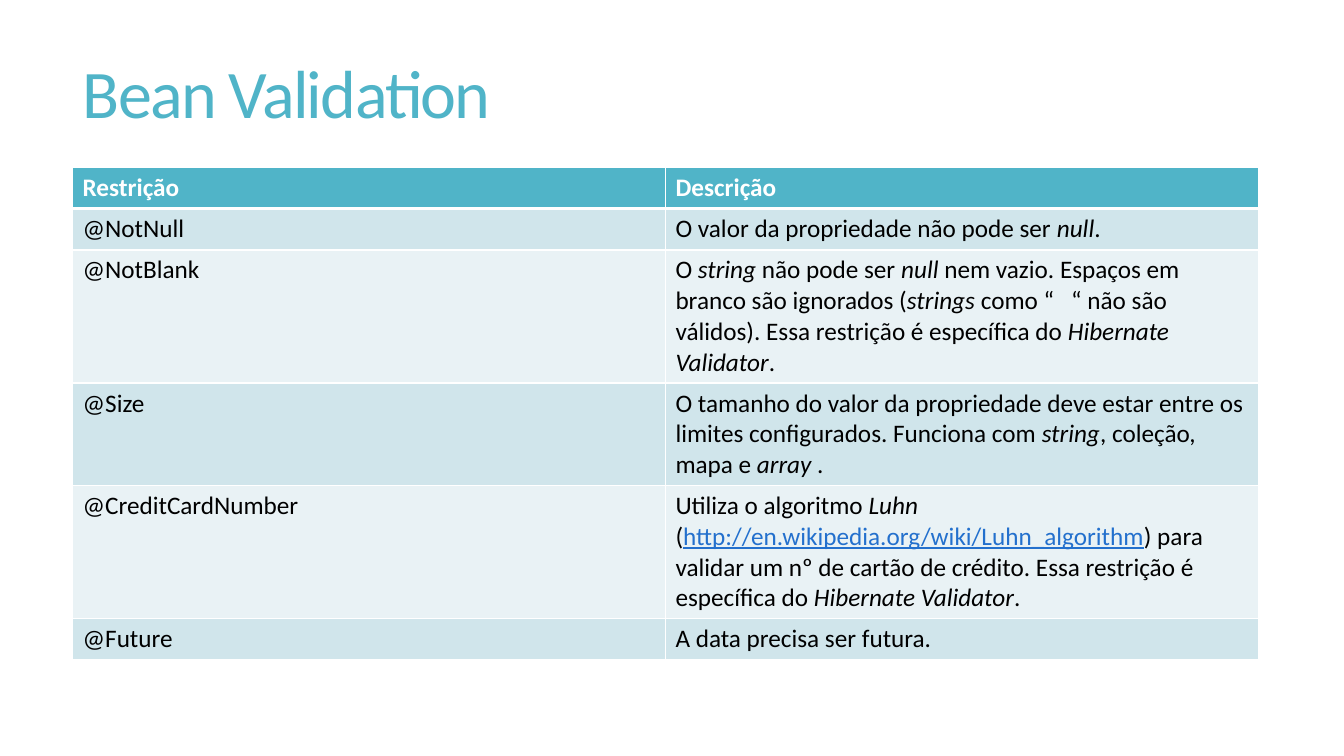
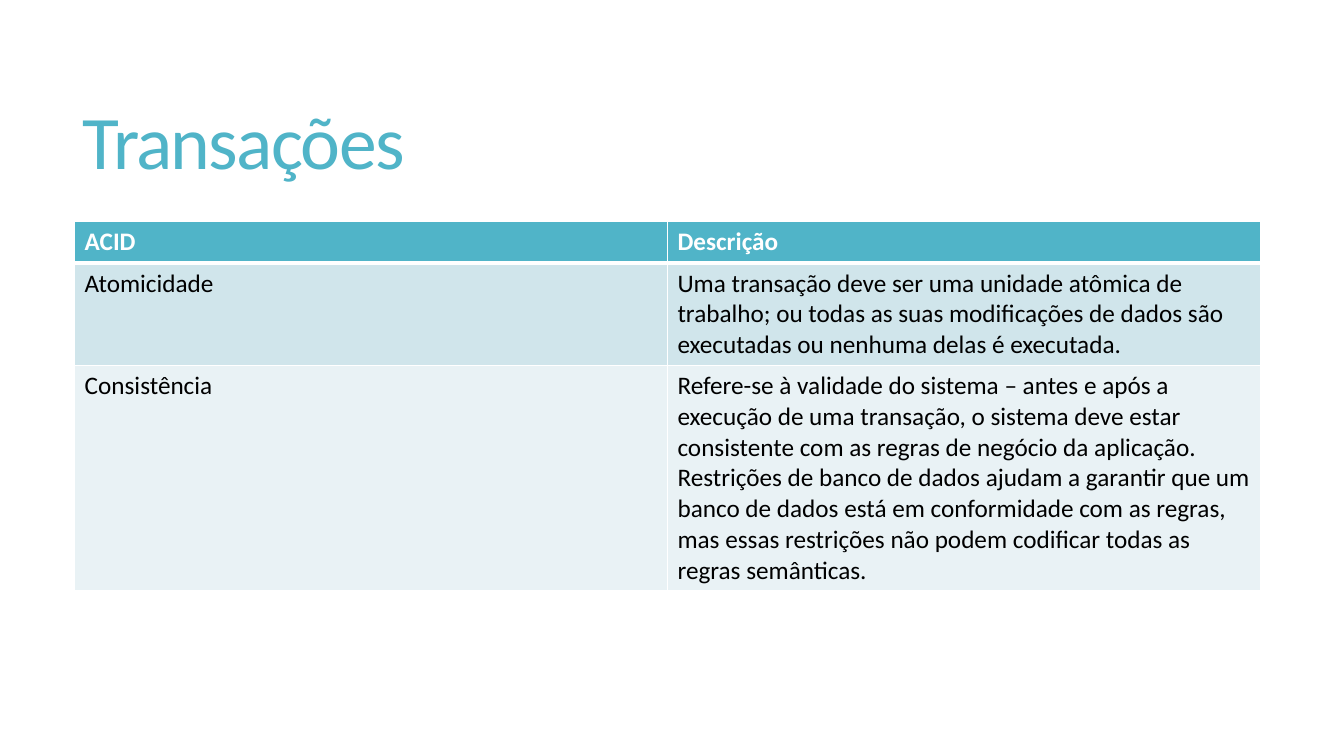
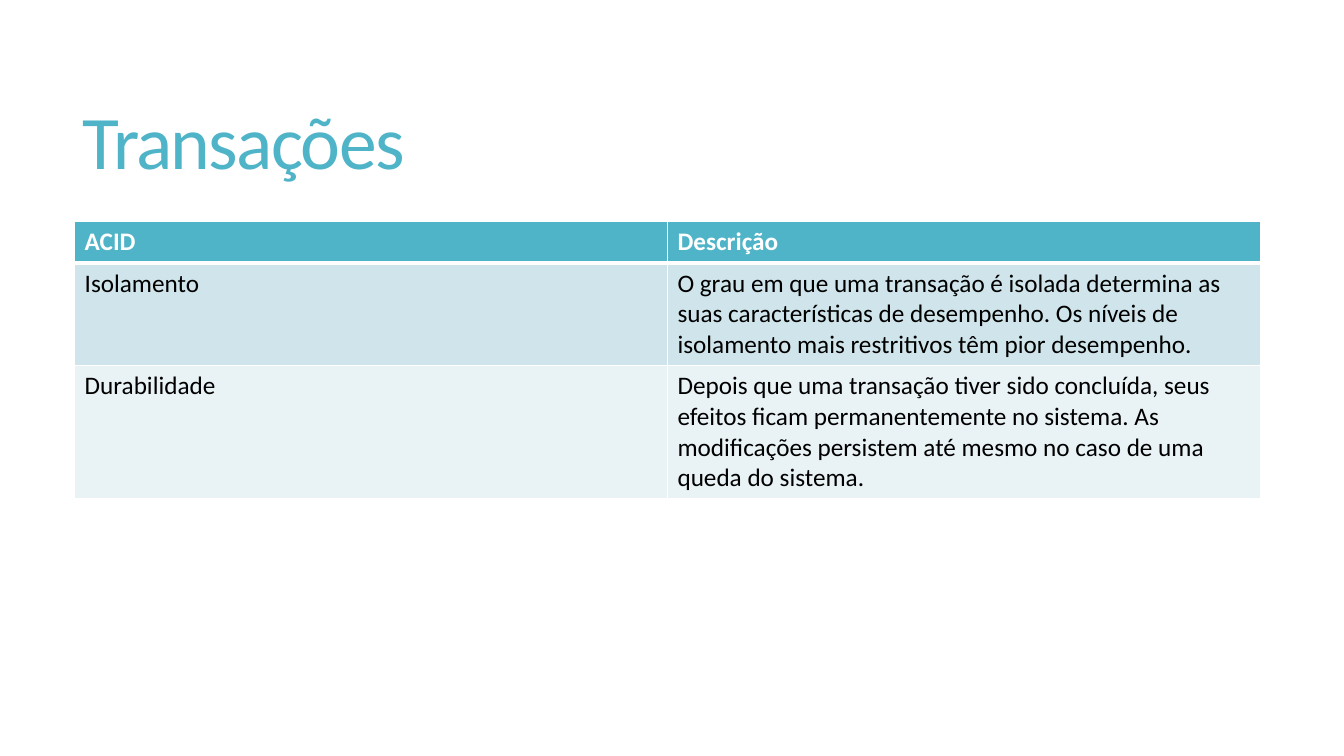
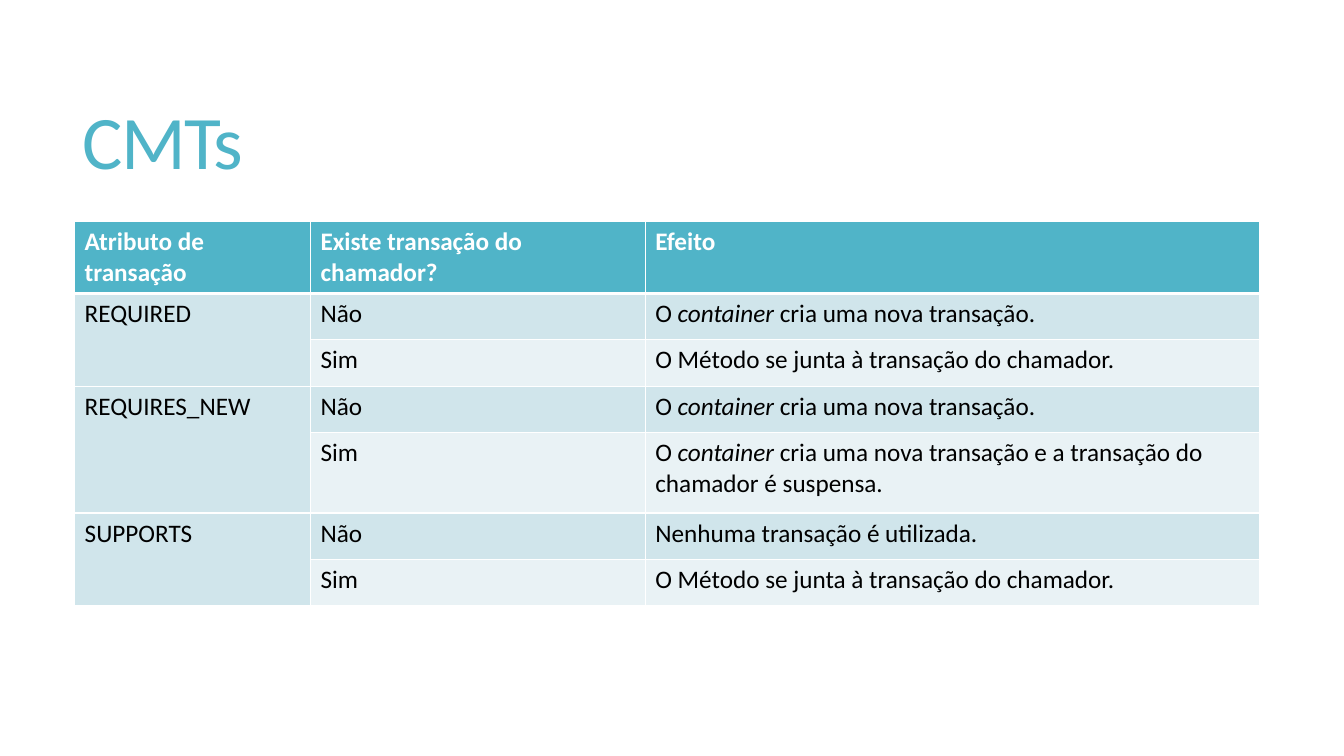
from lxml.etree import SubElement
from pptx import Presentation
from pptx.dml.color import RGBColor as RGB
from pptx.enum.text import MSO_ANCHOR, MSO_AUTO_SIZE, PP_ALIGN
from pptx.oxml.ns import qn
from pptx.util import Inches, Pt

FONT = "Calibri"
COLORS = {"teal": "50B4C8", "dark_band": "D0E5EB", "light_band": "E9F2F5",
          "white": "FFFFFF", "black": "000000", "link": "2370CD"}
TITLE_LEFT, TITLE_TOP, TITLE_WIDTH = 0.72, 0.55, 11.78
HALVES = (5.88, 5.88)

# Text between asterisks is italic, or a link where it is a web address.
# A None cell is merged with the cell above.
SLIDES = [
    {"title": "Bean Validation", "title_size": 48.6, "title_height": 0.83,
     "at": (0.72, 1.66), "cols": HALVES, "heights": [0.41] * 6,
     "rows": [
         ("Restrição", "Descrição"),
         ("@NotNull", "O valor da propriedade não pode ser *null*."),
         ("@NotBlank",
          "O *string* não pode ser *null* nem vazio. Espaços em branco são "
          "ignorados (*strings *como “   “ não são válidos). Essa restrição é "
          "específica do *Hibernate Validator*."),
         ("@Size",
          "O tamanho do valor da propriedade deve estar entre os limites "
          "configurados. Funciona com *string*, coleção, mapa e *array* ."),
         ("@CreditCardNumber",
          "Utiliza o algoritmo *Luhn* "
          "(*http://en.wikipedia.org/wiki/Luhn_algorithm*) para validar um nº "
          "de cartão de crédito. Essa restrição é específica do "
          "*Hibernate Validator*."),
         ("@Future", "A data precisa ser futura."),
     ]},
    {"title": "Transações", "title_size": 54, "title_height": 1.81,
     "at": (0.74, 2.2), "cols": HALVES, "heights": [0.41] * 3,
     "rows": [
         ("ACID", "Descrição"),
         ("Atomicidade",
          "Uma transação deve ser uma unidade atômica de trabalho; ou todas as "
          "suas modificações de dados são executadas ou nenhuma delas é "
          "executada."),
         ("Consistência",
          "Refere-se à validade do sistema – antes e após a execução de uma "
          "transação, o sistema deve estar consistente com as regras de "
          "negócio da aplicação. Restrições de banco de dados ajudam a "
          "garantir que um\n"
          "banco de dados está em conformidade com as regras, mas essas "
          "restrições não podem codificar todas as regras semânticas."),
     ]},
    {"title": "Transações", "title_size": 54, "title_height": 1.81,
     "at": (0.74, 2.2), "cols": HALVES, "heights": [0.41] * 3,
     "rows": [
         ("ACID", "Descrição"),
         ("Isolamento",
          "O grau em que uma transação é isolada determina as suas "
          "características de desempenho. Os níveis de isolamento mais "
          "restritivos têm pior desempenho."),
         ("Durabilidade",
          "Depois que uma transação tiver sido concluída, seus efeitos ficam "
          "permanentemente no sistema. As modificações persistem até mesmo no "
          "caso de uma queda do sistema."),
     ]},
    {"title": "CMTs", "title_size": 54, "title_height": 1.81,
     "at": (0.74, 2.2), "cols": (2.34, 3.32, 6.09),
     "heights": [0.46] * 4 + [0.8] + [0.46] * 2,
     "rows": [
         ("Atributo de transação", "Existe transação do chamador?", "Efeito"),
         ("REQUIRED", "Não", "O *container* cria uma nova transação."),
         (None, "Sim", "O Método se junta à transação do chamador."),
         ("REQUIRES_NEW", "Não", "O *container* cria uma nova transação."),
         (None, "Sim", "O *container* cria uma nova transação e a transação do "
                       "chamador é suspensa."),
         ("SUPPORTS", "Não", "Nenhuma transação é utilizada."),
         (None, "Sim", "O Método se junta à transação do chamador."),
     ]},
]


def color(name):
    return RGB.from_string(COLORS[name])


def set_font(font, color_name, **values):
    font.name = FONT
    font.color.rgb = color(color_name)
    for key, value in values.items():
        setattr(font, key, value)


def add_title(s, text, size, height):
    sp = s.shapes.title
    place = {"left": TITLE_LEFT, "top": TITLE_TOP,
             "width": TITLE_WIDTH, "height": height}
    for key, value in place.items():
        setattr(sp, key, Inches(value))
    tf = sp.text_frame
    tf.auto_size = MSO_AUTO_SIZE.NONE
    tf.vertical_anchor = MSO_ANCHOR.MIDDLE
    p = tf.paragraphs[0]
    p.alignment = PP_ALIGN.LEFT
    p.line_spacing = 0.85
    r = p.add_run()
    r.text = text
    set_font(r.font, "teal", size=Pt(size))
    r.font._element.set("spc", "-120")


def set_borders(cell, top, bottom):
    tc_pr = cell._tc.get_or_add_tcPr()
    for side, width in (("L", 1), ("R", 1), ("T", top), ("B", bottom)):
        ln = SubElement(tc_pr, qn(f"a:ln{side}"), w=str(Pt(width)))
        fill = SubElement(ln, qn("a:solidFill"))
        SubElement(fill, qn("a:srgbClr"), val=COLORS["white"])


def write_cell(cell, text, header):
    tf = cell.text_frame
    for i, line in enumerate(text.split("\n")):
        p = tf.add_paragraph() if i else tf.paragraphs[0]
        for j, piece in enumerate(line.split("*")):
            if not piece:
                continue
            link = piece.startswith("http")
            r = p.add_run()
            r.text = piece
            name = "white" if header else "link" if link else "black"
            set_font(r.font, name, size=Pt(18), bold=header,
                     italic=j % 2 == 1 and not link, underline=link)


def add_grid(s, at, cols, heights, rows):
    left, top = map(Inches, at)
    tbl = s.shapes.add_table(len(rows), len(cols), left, top,
                             Inches(sum(cols)), Inches(sum(heights))).table
    for column, width in zip(tbl.columns, cols):
        column.width = Inches(width)
    for row, height in zip(tbl.rows, heights):
        row.height = Inches(height)
    for i, row in enumerate(rows):
        band = "teal" if i == 0 else "dark_band" if i % 2 else "light_band"
        for j, text in enumerate(row):
            cell = tbl.cell(i, j)
            set_borders(cell, top=3 if i == 1 else 1, bottom=3 if i == 0 else 1)
            cell.fill.solid()
            cell.fill.fore_color.rgb = color(band)
            if text is None:
                tbl.cell(i - 1, j).merge(cell)
            else:
                write_cell(cell, text, header=i == 0)


def main():
    prs = Presentation()
    prs.slide_width, prs.slide_height = Inches(13.33), Inches(7.5)
    title_only = prs.slide_layouts[5]
    for d in SLIDES:
        s = prs.slides.add_slide(title_only)
        add_title(s, d["title"], d["title_size"], d["title_height"])
        add_grid(s, d["at"], d["cols"], d["heights"], d["rows"])
    prs.save("out.pptx")


if __name__ == "__main__":
    main()
